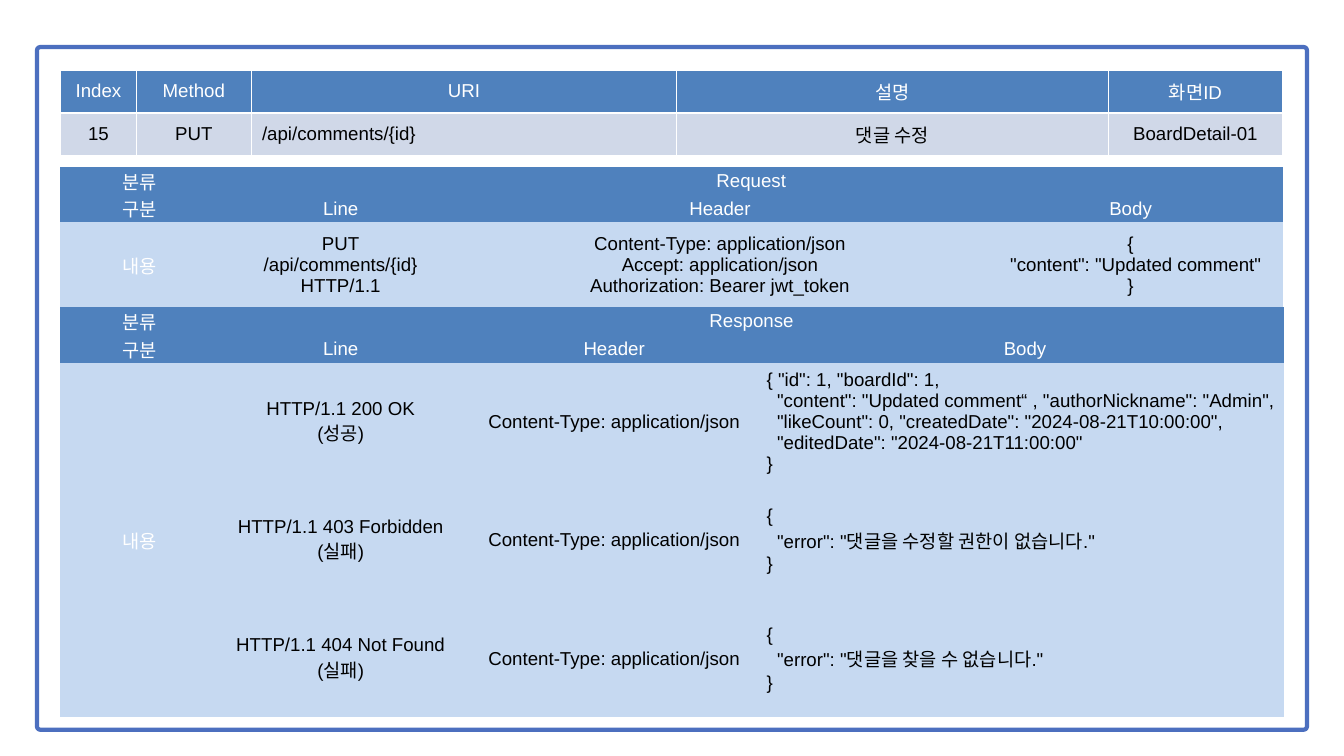
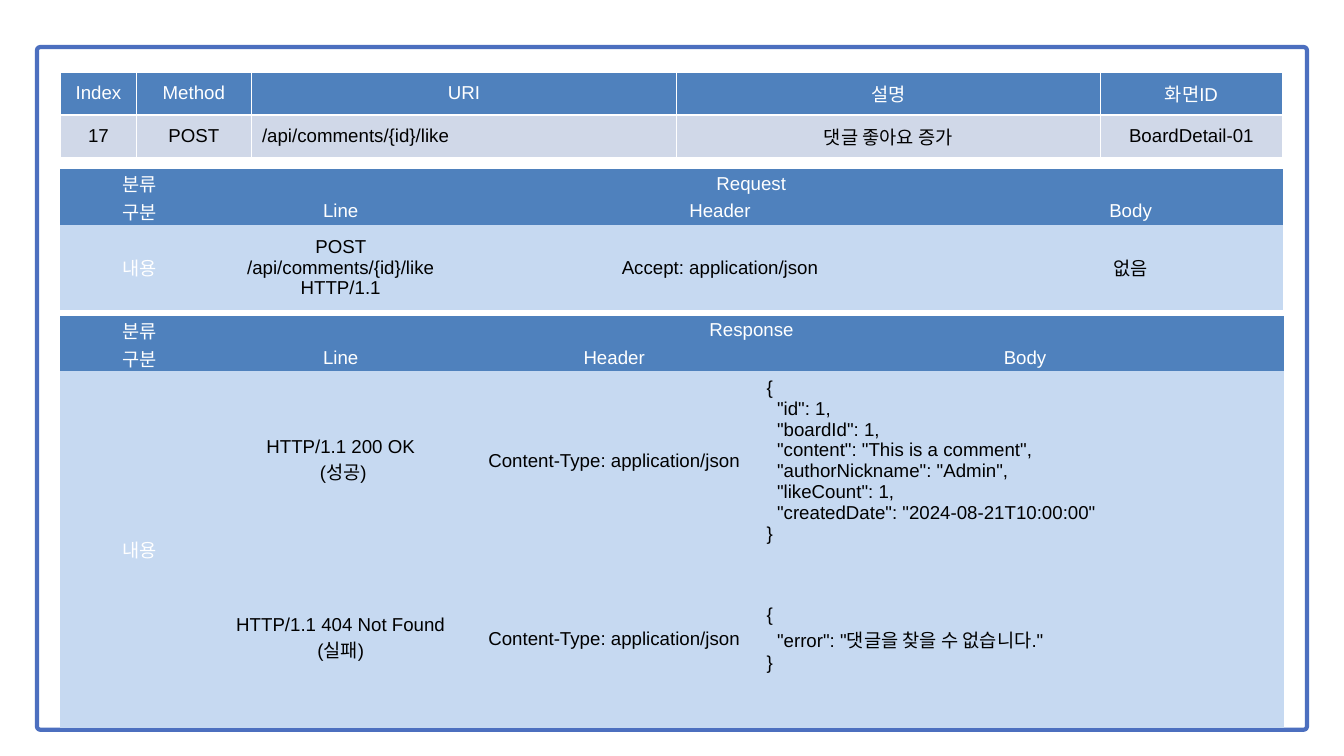
from pptx import Presentation
from pptx.dml.color import RGBColor
from pptx.enum.shapes import MSO_SHAPE
from pptx.enum.text import MSO_ANCHOR, PP_ALIGN
from pptx.oxml import parse_xml
from pptx.oxml.ns import nsdecls
from pptx.util import Inches, Pt

COLORS = {
    "white": "FFFFFF",
    "text": "000000",
    "frame": "4C6FBF",
    "head": "4F81BD",
    "content": "C6D9F1",
    "summary": "D0D8E8",
}
FONT = {"name": "Arial", "size": Pt(20)}
NO_STYLE = "{2D5ABB26-0587-4C30-8999-92F81FD0307C}"
LEFT = 0.9

# Cell insets: left, top, right, bottom
TIGHT = (0.01, 0.01, 0.01, 0)
ROOMY = (0.16, 0.08, 0.16, 0.08)

HEAD_HEIGHT = 0.41
REQUEST_COLUMNS = (2.36, 3.62, 7.67, 4.55)
RESPONSE_COLUMNS = (2.36, 3.62, 4.52, 7.71)
SUMMARY_HEAD = ("Index", "Method", "URI", "설명", "화면ID")
JSON_TYPE = "Content-Type: application/json"
NOT_FOUND_BODY = '{\n  "error": "댓글을 찾을 수 없습니다."\n}'

ENDPOINTS = [
    {
        "summary": ("15", "PUT", "/api/comments/{id}", "댓글 수정", "BoardDetail-01"),
        "summary_columns": (1.13, 1.71, 6.33, 6.42, 2.6),
        "tops": (1.04, 2.48, 4.57),
        "request": (
            "PUT\n/api/comments/{id}\nHTTP/1.1",
            JSON_TYPE + "\nAccept: application/json\nAuthorization: Bearer jwt_token",
            '{\n  "content": "Updated comment"\n}',
        ),
        "response_height": 1.76,
        "responses": [
            (
                "HTTP/1.1 200 OK\n(성공)",
                JSON_TYPE,
                '{ "id": 1, "boardId": 1,\n'
                '  "content": "Updated comment“ , "authorNickname": "Admin",\n'
                '  "likeCount": 0, "createdDate": "2024-08-21T10:00:00",\n'
                '  "editedDate": "2024-08-21T11:00:00"\n}',
            ),
            (
                "HTTP/1.1 403 Forbidden\n(실패)",
                JSON_TYPE,
                '{\n  "error": "댓글을 수정할 권한이 없습니다."\n}',
            ),
            ("HTTP/1.1 404 Not Found\n(실패)", JSON_TYPE, NOT_FOUND_BODY),
        ],
    },
    {
        "summary": ("17", "POST", "/api/comments/{id}/like", "댓글 좋아요 증가", "BoardDetail-01"),
        "summary_columns": (1.13, 1.71, 6.33, 6.3, 2.72),
        "tops": (1.07, 2.52, 4.7),
        "request": (
            "POST /api/comments/{id}/like HTTP/1.1",
            "Accept: application/json",
            "없음",
        ),
        "response_height": 2.65,
        "responses": [
            (
                "HTTP/1.1 200 OK\n (성공)",
                JSON_TYPE,
                '{\n  "id": 1,\n  "boardId": 1,\n  "content": "This is a comment",\n'
                '  "authorNickname": "Admin",\n  "likeCount": 1,\n'
                '  "createdDate": "2024-08-21T10:00:00"\n}',
            ),
            ("HTTP/1.1 404 Not Found (실패)", JSON_TYPE, NOT_FOUND_BODY),
        ],
    },
]


def rgb(name):
    return RGBColor.from_string(COLORS[name])


def add_frame(page):
    frame = page.shapes.add_shape(
        MSO_SHAPE.ROUNDED_RECTANGLE, Inches(0.55), Inches(0.7), Inches(18.9), Inches(10.16))
    frame.adjustments[0] = 0.005
    frame.shadow.inherit = False
    frame.fill.solid()
    frame.fill.fore_color.rgb = rgb("white")
    frame.line.color.rgb = rgb("frame")
    frame.line.width = Pt(4.5)


def add_plain_table(page, top, columns, heights):
    """Add a table without any built-in styling."""
    table = page.shapes.add_table(
        len(heights), len(columns), Inches(LEFT), Inches(top),
        Inches(sum(columns)), Inches(sum(heights))).table
    table.first_row = table.horz_banding = False
    table._tbl.tblPr[0].text = NO_STYLE
    for column, width in zip(table.columns, columns):
        column.width = Inches(width)
    for row, height in zip(table.rows, heights):
        row.height = Inches(height)
    return table


def write_cell(cell, text, fill, color, insets, align=PP_ALIGN.CENTER):
    left, top, right, bottom = map(Inches, insets)
    layout = {"margin_left": left, "margin_top": top, "margin_right": right,
              "margin_bottom": bottom, "vertical_anchor": MSO_ANCHOR.MIDDLE}
    for key, value in layout.items():
        setattr(cell, key, value)
    cell.text_frame.text = text
    for para in cell.text_frame.paragraphs:
        para.alignment = align
        for span in para.runs:
            for key, value in FONT.items():
                setattr(span.font, key, value)
            span.font.color.rgb = rgb(color)
    cell.fill.solid()
    cell.fill.fore_color.rgb = rgb(fill)


def add_borders(cell, bottom_points):
    """Draw white cell edges; they must come before the fill element."""
    widths = {"lnL": 1, "lnR": 1, "lnT": 1, "lnB": bottom_points}
    for index, (edge, points) in enumerate(widths.items()):
        cell._tc.get_or_add_tcPr().insert(index, parse_xml(
            f'<a:{edge} {nsdecls("a")} w="{Pt(points)}"><a:solidFill>'
            f'<a:srgbClr val="{COLORS["white"]}"/></a:solidFill></a:{edge}>'))


def add_summary(page, top, columns, values):
    table = add_plain_table(page, top, columns, (0.64, 0.64))
    for index, (label, value) in enumerate(zip(SUMMARY_HEAD, values)):
        head, body = table.cell(0, index), table.cell(1, index)
        align = PP_ALIGN.LEFT if label == "URI" else PP_ALIGN.CENTER
        write_cell(head, label, "head", "white", ROOMY)
        write_cell(body, value, "summary", "text", ROOMY, align)
        add_borders(head, 3)
        add_borders(body, 1)


def add_message(page, title, top, columns, height, messages, body_align):
    """Add a request or response table with one row per message."""
    heights = [HEAD_HEIGHT] * 2 + [height] * len(messages)
    table = add_plain_table(page, top, columns, heights)

    # Two heading rows
    for row, labels in enumerate([("분류", title, "", ""), ("구분", "Line", "Header", "Body")]):
        for column, label in enumerate(labels):
            write_cell(table.cell(row, column), label, "head", "white", TIGHT)
    table.cell(0, 1).merge(table.cell(0, 3))

    # Message rows beside one label
    for row, message in enumerate(messages, 2):
        write_cell(table.cell(row, 0), "내용" if row == 2 else "", "content", "white", TIGHT)
        for column, text in enumerate(message, 1):
            align = body_align if column == 3 else PP_ALIGN.CENTER
            write_cell(table.cell(row, column), text, "content", "text", TIGHT, align)
    if len(messages) > 1:
        table.cell(2, 0).merge(table.cell(len(messages) + 1, 0))


def add_endpoint(deck, endpoint):
    page = deck.slides.add_slide(deck.slide_layouts[6])
    summary_top, request_top, response_top = endpoint["tops"]
    add_frame(page)
    add_message(page, "Request", request_top, REQUEST_COLUMNS, 1.26,
                [endpoint["request"]], PP_ALIGN.CENTER)
    add_message(page, "Response", response_top, RESPONSE_COLUMNS,
                endpoint["response_height"], endpoint["responses"], PP_ALIGN.LEFT)
    add_summary(page, summary_top, endpoint["summary_columns"], endpoint["summary"])


def main():
    deck = Presentation()
    deck.slide_width, deck.slide_height = Inches(20), Inches(11.25)
    for endpoint in ENDPOINTS:
        add_endpoint(deck, endpoint)
    deck.save("out.pptx")


if __name__ == "__main__":
    main()
